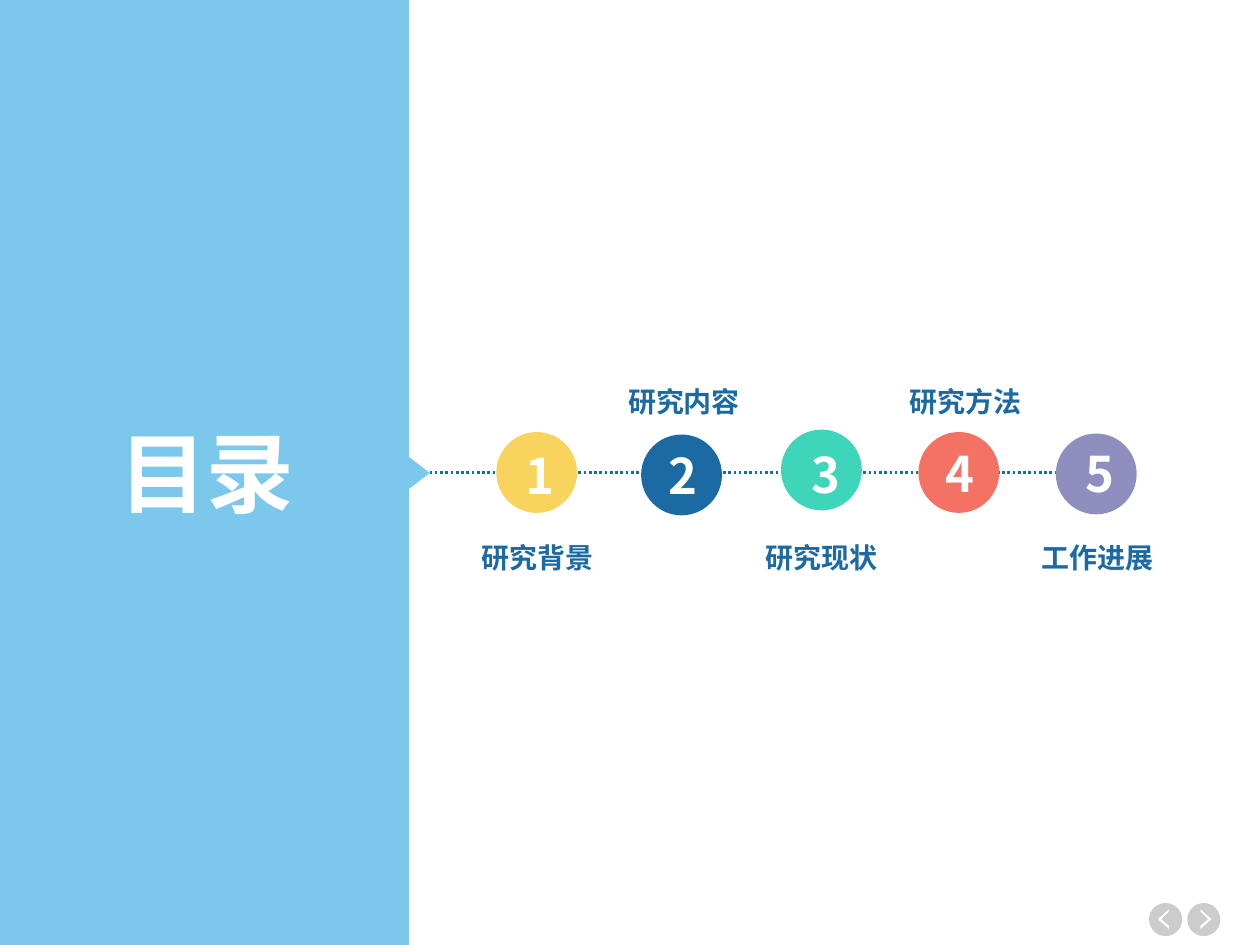
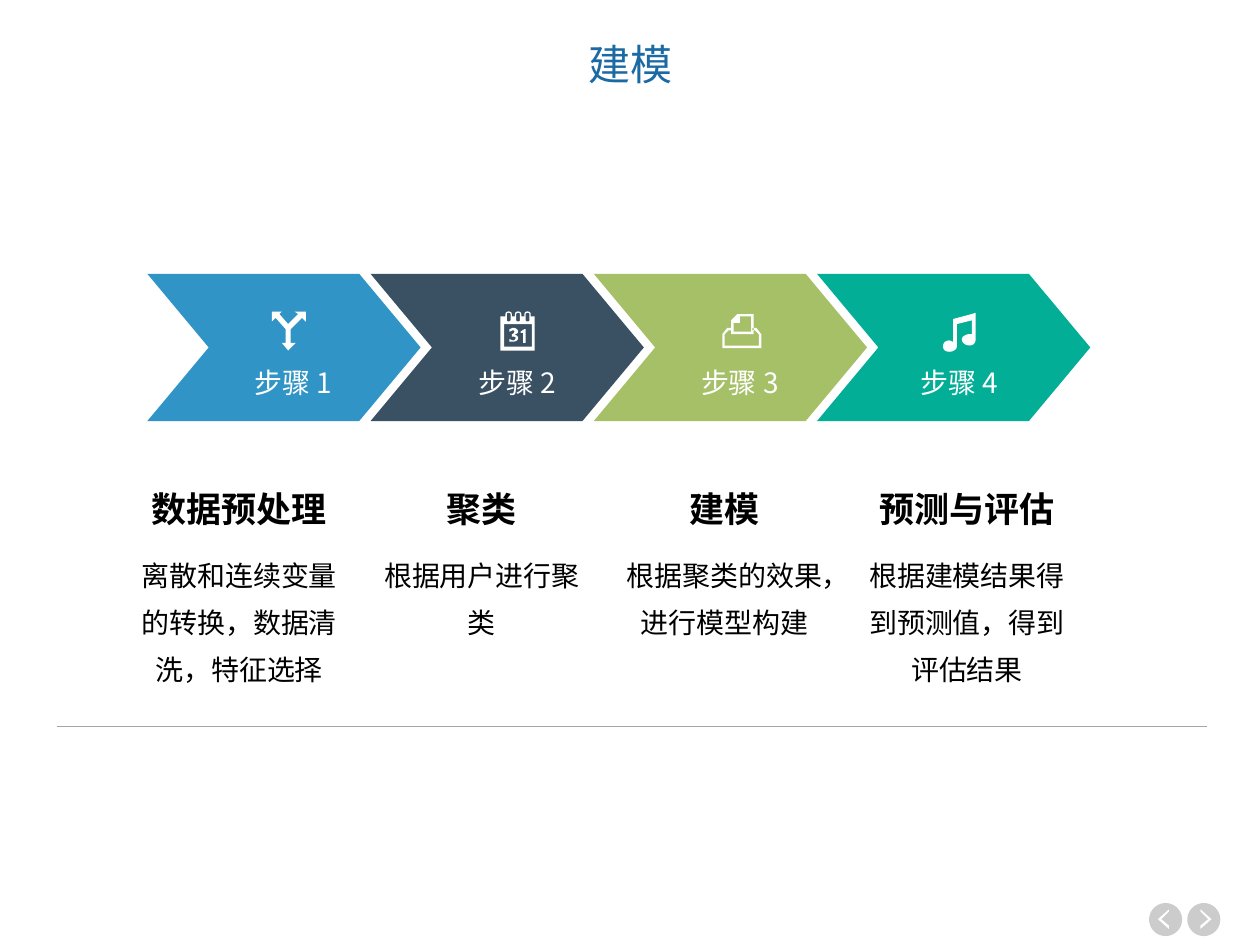
import math
from typing import NamedTuple

import lxml.etree
import pptx
import pptx.dml.color
import pptx.enum.dml
import pptx.enum.shapes
import pptx.enum.text
import pptx.oxml.ns
import pptx.util

Cm = pptx.util.Cm
RGBColor = pptx.dml.color.RGBColor
SHAPE = pptx.enum.shapes.MSO_SHAPE
ANCHOR = pptx.enum.text.MSO_ANCHOR
ALIGN = pptx.enum.text.PP_ALIGN
qn = pptx.oxml.ns.qn

WHITE = RGBColor(0xFF, 0xFF, 0xFF)
BLACK = RGBColor(0, 0, 0)
GREY = RGBColor(0xA6, 0xA6, 0xA6)
SKY = RGBColor(0x7C, 0xC8, 0xEC)
BLUE = RGBColor(0x1B, 0x6A, 0xA3)
YELLOW = RGBColor(0xF8, 0xD3, 0x5E)
MINT = RGBColor(0x3F, 0xD5, 0xBA)
CORAL = RGBColor(0xF4, 0x72, 0x64)
LILAC = RGBColor(0x8F, 0x8F, 0xBF)
AZURE = RGBColor(0x31, 0x94, 0xC6)
SLATE = RGBColor(0x3A, 0x50, 0x63)
OLIVE = RGBColor(0xA5, 0xC0, 0x67)
TEAL = RGBColor(0x03, 0xAE, 0x97)

BODY_FONT = "Noto Sans CJK SC"
TITLE_FONT = "Roboto Condensed"
ICON_UNIT = Cm(0.0254)  # one step of the grid on which the icons are drawn
FINE = 100              # freeform points are whole numbers, so the grid is split


class Box(NamedTuple):
    """A region of the page, in centimetres."""
    left: float
    top: float
    width: float
    height: float

    def inner(self, left, top, width, height):
        return Box(self.left + left, self.top + top, width, height)

    def lengths(self):
        return [Cm(value) for value in self]


class Chapter(NamedTuple):
    """A stop on the timeline; places are relative to the timeline."""
    name: str
    color: RGBColor
    line_start: float
    centre: float
    circle_top: float
    number_left: float
    number_top: float
    label_left: float


class Step(NamedTuple):
    """A step of the process; places are relative to its chevron."""
    color: RGBColor
    icon: list
    icon_left: float
    label_left: float
    heading: str
    detail: str


CHAPTERS = [
    Chapter("研究背景", YELLOW, 0, 2.16, 1.09, 1.68, 1.24, 0.2),
    Chapter("研究内容", BLUE, 2.47, 5.08, 1.14, 4.57, 1.24, 3.15),
    Chapter("研究现状", MINT, 5.28, 7.9, 1.04, 7.44, 1.22, 5.92),
    Chapter("研究方法", CORAL, 8, 10.67, 1.09, 10.16, 1.19, 8.82),
    Chapter("工作进展", LILAC, 10.8, 13.44, 1.12, 12.98, 1.19, 11.48),
]


# Icon outlines: a pair is a corner, six numbers are a cubic curve

def calendar():
    rings = (6.5, 14, 21.5)
    body = [(0, 31), (0, 4)]
    for x in rings:
        body += [(x - 2.5, 4), (x - 2.5, 2),
                 (x - 2.5, -0.7, x + 2.5, -0.7, x + 2.5, 2), (x + 2.5, 4)]
    body += [(27, 4), (27, 31)]
    slots = [[(x - 1.5, 2), (x - 1.5, 0.7, x + 1.5, 0.7, x + 1.5, 2),
              (x + 1.5, 7), (x + 1.5, 8.3, x - 1.5, 8.3, x - 1.5, 7)]
             for x in rings]
    window = [(3, 10), (25, 10), (25, 28), (3, 28)]
    three = [(14, 21), (14, 20, 13, 19, 11, 18), (13, 18, 14, 17, 14, 16),
             (14, 15, 13, 13, 10, 13), (9, 13, 8, 14, 7, 14), (7, 16),
             (8, 16, 9, 15, 10, 15), (11, 15, 11, 16, 11, 16),
             (11, 17, 10, 18, 9, 18), (9, 20), (11, 20, 12, 20, 12, 21),
             (12, 22, 11, 23, 10, 23), (9, 23, 8, 22, 7, 22), (7, 24),
             (8, 24, 9, 24, 10, 24), (12, 24, 14, 23, 14, 21)]
    one = [(18, 17), (18, 25), (20, 25), (20, 14), (19, 14), (16, 16), (16, 17)]
    return [body, *slots, window, three, one]


FORK = [[(27, 8), (27, 0), (18, 0), (21, 2), (13, 10), (6, 2), (8, 0), (0, 0),
         (0, 8), (3, 5), (11, 14), (11, 25), (8, 25), (13, 31), (19, 25),
         (15, 25), (15, 14), (24, 5)]]
PRINTER = [
    [(27, 13), (24, 13), (24, 15), (26, 15), (29, 18), (29, 27), (2, 27),
     (2, 18), (5, 15), (7, 15), (7, 13), (4, 13), (0, 18), (0, 29), (31, 29),
     (31, 18)],
    [(7, 18), (25, 18), (25, 2), (12, 2), (7, 7)],
    [(9, 9), (14, 9), (14, 4), (23, 4), (23, 16), (9, 16)],
]
NOTE = [[(26, 1), (23, 2), (8, 6), (8, 24), (7, 24, 6, 23, 5, 23),
         (2, 23, 0, 25, 0, 28), (0, 30, 2, 32, 5, 32), (8, 32, 11, 30, 11, 28),
         (11, 10), (23, 7), (23, 18), (23, 18, 22, 18, 21, 18),
         (18, 18, 15, 20, 15, 22), (15, 25, 18, 27, 21, 27),
         (24, 27, 26, 25, 26, 22)]]

STEPS = [
    Step(AZURE, FORK, 2.51, 1.88, "数据预处理",
         "离散和连续变量的转换，数据清洗，特征选择"),
    Step(SLATE, calendar(), 2.62, 1.9, "聚类", "根据用户进行聚类"),
    Step(OLIVE, PRINTER, 2.59, 1.88, "建模", "根据聚类的效果，进行模型构建"),
    Step(TEAL, NOTE, 2.54, 1.8, "预测与评估",
         "根据建模结果得到预测值，得到评估结果"),
]


# Drawing helpers

def add_element(parent, tag, **attributes):
    return lxml.etree.SubElement(parent, qn(tag), attributes)


def paint(shape, color):
    shape.shadow.inherit = False
    shape.fill.solid()
    shape.fill.fore_color.rgb = color
    shape.line.fill.background()
    return shape


def add_figure(page, kind, box, color):
    return paint(page.shapes.add_shape(kind, *box.lengths()), color)


def add_text(page, box, text, size, color, bold=False, font=BODY_FONT,
             align=ALIGN.CENTER, spacing=None, inset=None, wrap=True,
             anchor=ANCHOR.TOP):
    frame = page.shapes.add_textbox(*box.lengths()).text_frame
    frame.word_wrap = wrap
    frame.vertical_anchor = anchor
    if inset is not None:
        for side in ("left", "top", "right", "bottom"):
            setattr(frame, f"margin_{side}", Cm(inset))
    para = frame.paragraphs[0]
    para.alignment = align
    para.line_spacing = spacing
    span = para.add_run()
    span.text = text
    formats = {"size": pptx.util.Pt(size), "bold": bold, "name": font}
    for name, value in formats.items():
        setattr(span.font, name, value)
    span.font.color.rgb = color
    add_element(span._r.get_or_add_rPr(), "a:ea", typeface=BODY_FONT)


def add_line(page, start, end, color, width):
    line = page.shapes.add_connector(
        pptx.enum.shapes.MSO_CONNECTOR.STRAIGHT,
        *[Cm(value) for value in (*start, *end)])
    line.line.color.rgb = color
    line.line.width = pptx.util.Pt(width)
    add_element(line.element.spPr, "a:effectLst")
    return line


def flatten(contour, pieces=8):
    """Turn corners and cubic curves into one list of points."""
    points = []
    for item in contour:
        if len(item) == 2:
            points.append(item)
            continue
        knots = [points[-1], item[:2], item[2:4], item[4:]]
        for t in (piece / pieces for piece in range(1, pieces + 1)):
            weights = [math.comb(3, i) * t**i * (1 - t)**(3 - i) for i in range(4)]
            points.append(tuple(sum(w * knot[axis] for w, knot in zip(weights, knots))
                                for axis in (0, 1)))
    return points


def add_icon(page, left, top, contours, color):
    builder = None
    for contour in contours:
        points = [(x * FINE, y * FINE) for x, y in flatten(contour)]
        if builder is None:
            builder = page.shapes.build_freeform(*points[0], scale=ICON_UNIT / FINE)
        else:
            builder.move_to(*points[0])
        builder.add_line_segments(points[1:], close=True)
    return paint(builder.convert_to_shape(Cm(left), Cm(top)), color)


# Regions

def add_navigation(page, box):
    centre, radius = 13.3, 13.1
    angles = [math.tau * i / 48 for i in range(48)]
    disc = [(centre + radius * math.cos(a), centre + radius * math.sin(a))
            for a in angles]
    back = [(16, 5), (7, 13), (16, 21), (16, 18), (10, 13), (16, 7)]
    forward = [(2 * centre - x, y) for x, y in back]
    for index, arrow in enumerate((back, forward)):
        button = add_icon(page, box.left + index * 0.77, box.top, [disc, arrow], BLACK)
        shade = button.element.spPr.find(".//" + qn("a:srgbClr"))
        add_element(shade, "a:alpha", val="20000")


def add_contents_panel(page, box):
    add_figure(page, SHAPE.RECTANGLE, box, SKY)
    pointer = add_figure(page, SHAPE.ISOSCELES_TRIANGLE,
                         box.inner(box.width - 0.13, 9.32, 0.66, 0.43), SKY)
    pointer.rotation = 90
    add_text(page, box.inner(1.35, 8.56, 5.64, 2.24), "目录", 50, WHITE,
             bold=True, font=TITLE_FONT, spacing=0.9)


def add_timeline(page, box):
    diameter, axis = 1.63, box.top + 1.91
    # Dotted lines, each ending at the centre of a circle
    for chapter in CHAPTERS:
        line = add_line(page, (box.left + chapter.line_start, axis),
                        (box.left + chapter.centre, axis), BLUE, 1.5)
        line.line.dash_style = pptx.enum.dml.MSO_LINE.ROUND_DOT
        add_element(line.element.spPr.find(qn("a:ln")), "a:tailEnd", type="oval")
    # Numbered circles, with names below and above in turn
    for index, chapter in enumerate(CHAPTERS):
        add_figure(page, SHAPE.OVAL,
                   box.inner(chapter.centre - diameter / 2, chapter.circle_top,
                             diameter, diameter), chapter.color)
        add_text(page, box.inner(chapter.number_left, chapter.number_top, 1.02, 1.45),
                 str(index + 1), 28, WHITE, bold=True, align=ALIGN.LEFT, wrap=False)
        label_top = 0 if index % 2 else 3.15
        add_text(page, box.inner(chapter.label_left, label_top, 3.96, 0.94),
                 chapter.name, 16, BLUE, bold=True, wrap=False)


def add_process(page, box):
    for index, step in enumerate(STEPS):
        arrow = box.inner(index * 4.5, 0, 5.51, 2.97)
        chevron = add_figure(page, SHAPE.CHEVRON, arrow, step.color)
        chevron.adjustments[0] = 0.417
        add_icon(page, arrow.left + step.icon_left, arrow.top + 0.76, step.icon, WHITE)
        add_text(page, arrow.inner(step.label_left, 1.45, 2.13, 1.22),
                 f"步骤 {index + 1}", 16, WHITE, spacing=1.4, inset=0.13)


def add_step_notes(page, box):
    for index, step in enumerate(STEPS):
        column = box.inner(index * 4.89, 0, 4.57, box.height)
        add_text(page, column.inner(0, 0, column.width, 1.45), step.heading,
                 20, BLACK, bold=True, spacing=1.4, inset=0.13)
        add_text(page, column.inner(0, 1.5, column.width, 3.12), step.detail,
                 16, BLACK, spacing=1.4, inset=0.13)


# Slides

def add_page(deck):
    page = deck.slides.add_slide(deck.slide_layouts[6])
    add_navigation(page, Box(23.16, 18.2, 1.43, 0.67))
    return page


def build_contents(deck):
    page = add_page(deck)
    add_contents_panel(page, Box(0, 0, 8.25, 19.05))
    add_timeline(page, Box(8.66, 7.62, 15.44, 4.09))


def build_modelling(deck):
    page = add_page(deck)
    add_text(page, Box(5.72, 0.84, 13.97, 1.02), "建模", 24, BLUE,
             font=TITLE_FONT, spacing=0.9, anchor=ANCHOR.MIDDLE)
    add_process(page, Box(2.97, 5.52, 19.01, 2.97))
    add_step_notes(page, Box(2.54, 9.37, 19.24, 4.62))
    add_line(page, (1.14, 14.63), (24.33, 14.63), GREY, 0.25)


def main():
    deck = pptx.Presentation()
    deck.slide_width, deck.slide_height = Cm(25.4), Cm(19.05)
    build_contents(deck)
    build_modelling(deck)
    deck.save("out.pptx")


if __name__ == "__main__":
    main()
